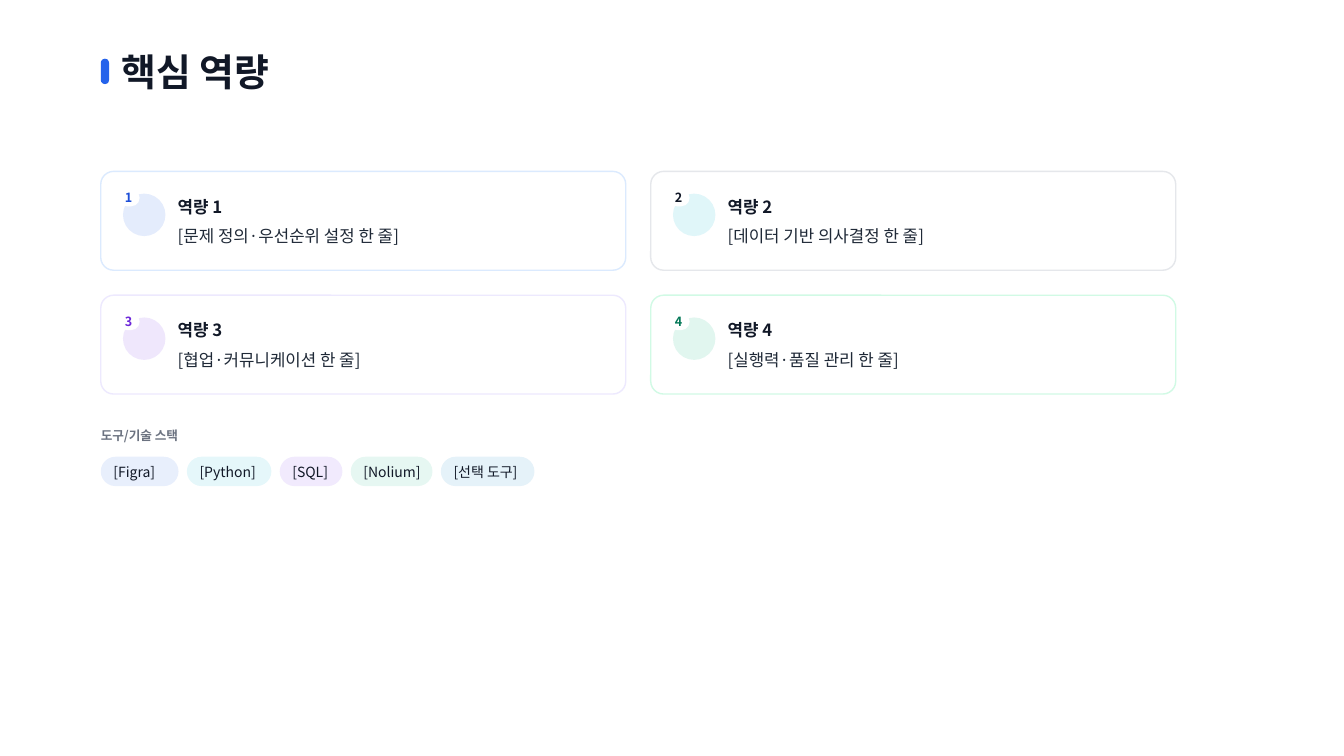
import pptx
import pptx.dml.color
import pptx.enum.shapes
import pptx.enum.text
import pptx.oxml
import pptx.oxml.ns
import pptx.util

Cm = pptx.util.Cm
RGB = pptx.dml.color.RGBColor.from_string

THEME = {
    "font": "Noto Sans CJK KR",
    "ink": "111827", "body": "1F2937", "muted": "6B7280", "white": "FFFFFF",
    "blue": "2563EB", "cyan": "06B6D4", "violet": "7C3AED",
    "green": "10B981", "sky": "0284C7",
    "title": 27, "card": 12, "chip": 10, "small": 9,
}


def add_box(s, left, top, width, height, radius=0.5, fill=None, alpha=None, line=None):
    """Rounded box with an optional fill, fill opacity in percent and outline."""
    sp = s.shapes.add_shape(pptx.enum.shapes.MSO_SHAPE.ROUNDED_RECTANGLE,
                            Cm(left), Cm(top), Cm(width), Cm(height))
    sp.shadow.inherit = False
    sp.adjustments[0] = radius
    if fill:
        sp.fill.solid()
        sp.fill.fore_color.rgb = RGB(fill)
    else:
        sp.fill.background()
    if alpha:
        color = sp.fill._xPr.find(".//" + pptx.oxml.ns.qn("a:srgbClr"))
        color.append(pptx.oxml.parse_xml(
            f'<a:alpha {pptx.oxml.ns.nsdecls("a")} val="{alpha * 1000}"/>'))
    if line:
        sp.line.color.rgb = RGB(line)
        sp.line.width = pptx.util.Pt(1)
    else:
        sp.line.fill.background()


def add_label(s, text, left, top, width, height, size, color, bold=False):
    """Text box without margins, centred vertically."""
    tf = s.shapes.add_textbox(Cm(left), Cm(top), Cm(width), Cm(height)).text_frame
    frame_format = {"word_wrap": True, "margin_left": 0, "margin_right": 0,
                    "margin_top": 0, "margin_bottom": 0,
                    "vertical_anchor": pptx.enum.text.MSO_ANCHOR.MIDDLE}
    for name, value in frame_format.items():
        setattr(tf, name, value)
    p = tf.paragraphs[0]
    r = p.add_run()
    r.text = text
    font_format = {"name": THEME["font"], "size": pptx.util.Pt(size), "bold": bold}
    for name, value in font_format.items():
        setattr(r.font, name, value)
    r.font.color.rgb = RGB(color)
    # Korean glyphs take the East Asian typeface
    r.font._element.append(pptx.oxml.parse_xml(
        f'<a:ea {pptx.oxml.ns.nsdecls("a")} typeface="{THEME["font"]}"/>'))


prs = pptx.Presentation()
prs.slide_width, prs.slide_height = Cm(33.87), Cm(19.05)
s = prs.slides.add_slide(prs.slide_layouts[6])
s.background.fill.solid()
s.background.fill.fore_color.rgb = RGB(THEME["white"])

# Title with accent bar
left_edge = 2.54
add_box(s, left_edge, 1.48, 0.21, 0.64, fill=THEME["blue"])
add_label(s, "핵심 역량", 3.07, 1.12, 4.4, 1.38, THEME["title"], THEME["ink"], True)

# Competency cards: outline, accent, number colour, text, text width
cards = [
    ("DBEAFE", "blue", "1D4ED8", "[문제 정의·우선순위 설정 한 줄]", 5.87),
    ("E5E7EB", "cyan", THEME["ink"], "[데이터 기반 의사결정 한 줄]", 5.38),
    ("EDE9FE", "violet", "6D28D9", "[협업·커뮤니케이션 한 줄]", 4.88),
    ("D1FAE5", "green", "047857", "[실행력·품질 관리 한 줄]", 4.6),
]
for i, (outline, accent, number_color, text, text_width) in enumerate(cards):
    x = left_edge + i % 2 * 13.86
    y = 4.32 + i // 2 * 3.12
    add_box(s, x, y, 13.23, 2.49, radius=0.13, line=outline)
    add_box(s, x + 0.56, y + 0.56, 1.07, 1.07, fill=THEME[accent], alpha=12)
    add_box(s, x + 0.45, y + 0.45, 0.53, 0.43, fill=THEME["white"])
    add_label(s, str(i + 1), x + 0.61, y + 0.43, 0.46, 0.46,
              THEME["small"], number_color, True)
    add_label(s, f"역량 {i + 1}", x + 1.94, y + 0.56, 1.47, 0.64,
              THEME["card"], THEME["ink"], True)
    add_label(s, text, x + 1.94, y + 1.3, text_width, 0.64,
              THEME["card"], THEME["body"])

# Tool chips, laid out one after another
add_label(s, "도구/기술 스택", left_edge, 10.74, 2.29, 0.46,
          THEME["small"], THEME["muted"], True)
chips = [("[Figra]", "blue", 1.96), ("[Python]", "cyan", 2.13), ("[SQL]", "violet", 1.58),
         ("[Nolium]", "green", 2.06), ("[선택 도구]", "sky", 2.36)]
x = left_edge
for text, accent, width in chips:
    add_box(s, x, 11.51, width, 0.74, fill=THEME[accent], alpha=10)
    add_label(s, text, x + 0.32, 11.63, width - 0.36, 0.53, THEME["chip"], THEME["ink"])
    x += width + 0.21

prs.save("out.pptx")
